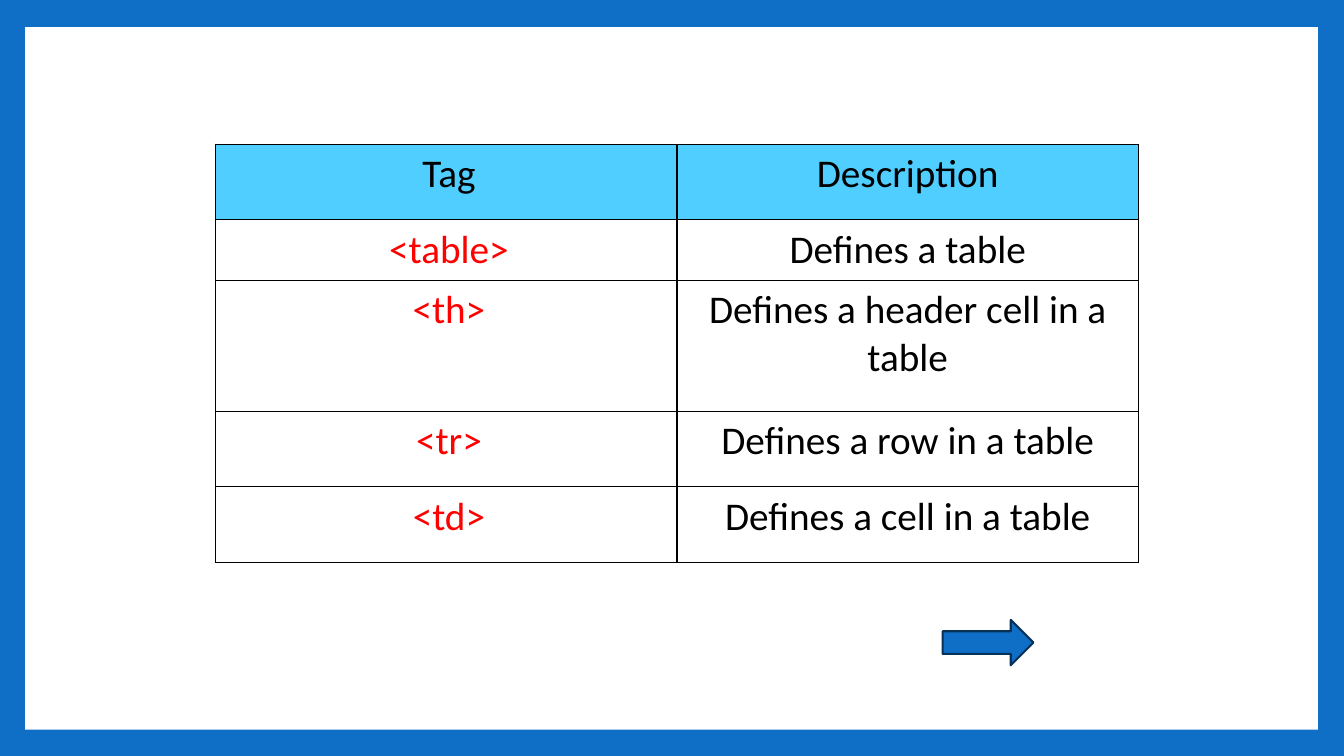
from lxml import etree
from pptx import Presentation
from pptx.dml.color import RGBColor
from pptx.enum.shapes import MSO_SHAPE
from pptx.enum.text import MSO_ANCHOR, PP_ALIGN
from pptx.oxml.ns import qn
from pptx.util import Inches, Pt

COLORS = {
    "blue": "0F6FC6",
    "navy": "073157",
    "sky": "4FCEFF",
    "red": "FF0000",
    "black": "000000",
    "white": "FFFFFF",
}
ROWS = [
    ("Tag", "Description", 0.75),
    ("<table>", "Defines a table", 0.6),
    ("<th>", "Defines a header cell in a table", 1.3),
    ("<tr>", "Defines a row in a table", 0.75),
    ("<td>", "Defines a cell in a table", 0.75),
]


def rgb(name):
    """Return the named palette colour."""
    return RGBColor.from_string(COLORS[name])


def add_block(s, kind, box, fill, line=None):
    """Place a filled shape in the box, outlined if a line colour is given."""
    sp = s.shapes.add_shape(kind, *map(Inches, box))
    sp.shadow.inherit = False
    sp.fill.solid()
    sp.fill.fore_color.rgb = rgb(fill)
    if line:
        sp.line.color.rgb = rgb(line)
        sp.line.width = Pt(1.5)
    else:
        sp.line.fill.background()


def add_borders(cell):
    """Draw a thin black line on all four sides of a cell."""
    tc_pr = cell._tc.get_or_add_tcPr()
    for side in ("lnL", "lnR", "lnT", "lnB"):
        ln = etree.SubElement(tc_pr, qn(f"a:{side}"), w=str(Pt(1)))
        fill = etree.SubElement(ln, qn("a:solidFill"))
        etree.SubElement(fill, qn("a:srgbClr"), val=COLORS["black"])


def fill_cell(cell, text, color, header, left):
    """Format one cell and write its text."""
    add_borders(cell)
    if header:
        cell.fill.solid()
        cell.fill.fore_color.rgb = rgb("sky")
    else:
        cell.fill.background()
    cell.margin_left = Inches(left)
    cell.margin_right = cell.margin_top = cell.margin_bottom = Inches(0.06)
    cell.vertical_anchor = MSO_ANCHOR.TOP
    p = cell.text_frame.paragraphs[0]
    p.alignment = PP_ALIGN.CENTER
    r = p.add_run()
    r.text = text
    r.font.name = "Calibri"
    r.font.size = Pt(28)
    r.font.bold = False
    r.font.color.rgb = rgb(color)


def add_tag_table(s, box):
    """Place the table of tags and their descriptions in the box."""
    table = s.shapes.add_table(len(ROWS), 2, *map(Inches, box)).table
    table.first_row = table.horz_banding = False
    for col in table.columns:
        col.width = Inches(box[2] / 2)
    for i, (tag, description, height) in enumerate(ROWS):
        table.rows[i].height = Inches(height)
        header = i == 0
        fill_cell(table.cell(i, 0), tag, "black" if header else "red", header, 0.11)
        fill_cell(table.cell(i, 1), description, "black", header, 0.06)


def build_slide(prs):
    """Add the slide with its frame, tag table and arrow."""
    s = prs.slides.add_slide(prs.slide_layouts[6])
    s.background.fill.solid()
    s.background.fill.fore_color.rgb = rgb("blue")
    add_block(s, MSO_SHAPE.RECTANGLE, (0.25, 0.27, 12.82, 6.97), "white")
    add_tag_table(s, (2.14, 1.43, 9.15, 4.15))
    add_block(s, MSO_SHAPE.RIGHT_ARROW, (9.35, 6.15, 0.9, 0.45), "blue", "navy")


def main():
    """Build and save the presentation."""
    prs = Presentation()
    prs.slide_width = Inches(13.33)
    prs.slide_height = Inches(7.5)
    build_slide(prs)
    prs.save("out.pptx")


if __name__ == "__main__":
    main()
